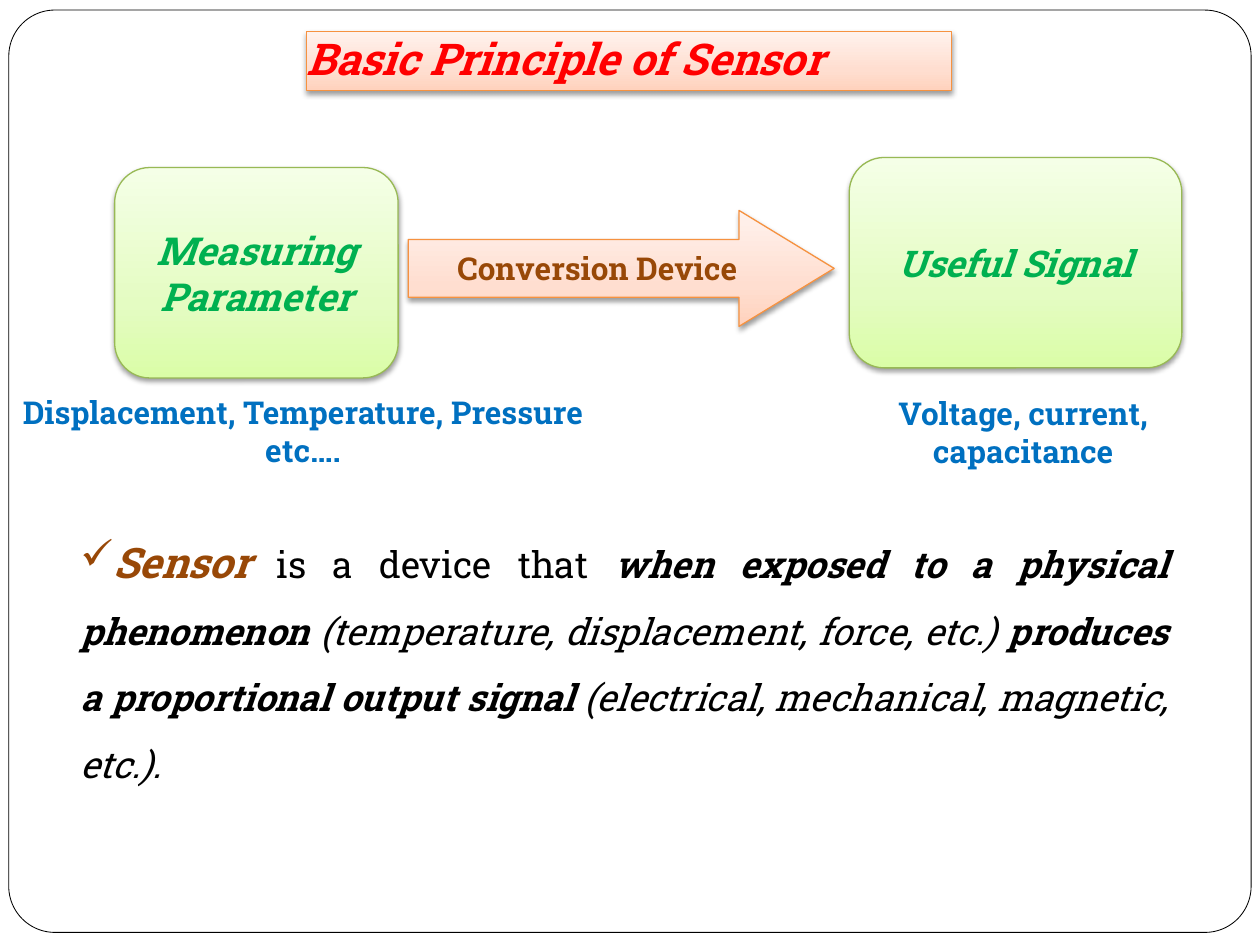
from copy import deepcopy

from lxml import etree
from pptx import Presentation
from pptx import util as u
from pptx.dml import color
from pptx.enum import shapes, text
from pptx.oxml import ns

COLUMNS, ROWS = 100, 75
CELL = u.Inches(0.1)
FONT = "Roboto Slab"
PEACH = ("FFD2BD", "FFDED0", "FFF2ED")
LIME = ("DAFDA7", "E4FCC2", "F5FFE7")
STOPS = (0, 0.35, 1)
CENTRE = text.PP_ALIGN.CENTER
MIDDLE = text.MSO_ANCHOR.MIDDLE
TITLE = {"size": 25, "color": "FF0000", "bold": True, "italic": True}
CARD = {"size": 22, "color": "00B050", "bold": True, "italic": True}
ARROW = {"size": 18, "color": "984807", "bold": True}
CAPTION = {"size": 18, "color": "0070C0", "bold": True}
TERM = {"size": 24, "color": "984807", "bold": True, "italic": True}
PLAIN = {"size": 21, "color": "000000"}
ASIDE = {**PLAIN, "italic": True}
STRONG = {**ASIDE, "bold": True}


def paint(target, value):
    target.rgb = color.RGBColor.from_string(value)


def place(area):
    return [round(cells * CELL) for cells in area]


def add_child(parent, name, **attributes):
    return etree.SubElement(parent, ns.qn(name), attributes)


def add_span(para, words, style):
    span = para.add_run()
    span.text = words
    values = {"name": FONT, "bold": False, "italic": False, **style}
    values["size"] = u.Pt(style["size"])
    paint(span.font.color, values.pop("color"))
    for key, value in values.items():
        setattr(span.font, key, value)


def write(box, paragraphs, layout, frame_values):
    frame = box.text_frame
    for key, value in frame_values.items():
        setattr(frame, key, value)
    for index, spans in enumerate(paragraphs):
        para = frame.add_paragraph() if index else frame.paragraphs[0]
        for key, value in layout.items():
            setattr(para, key, value)
        for words, style in spans:
            add_span(para, words, style)


def add_outline(page, kind, area, line, width):
    box = page.shapes.add_shape(kind, *place(area))
    box.shadow.inherit = False
    box.fill.background()
    paint(box.line.color, line)
    box.line.width = u.Pt(width)
    return box


def add_gradient(box, shades):
    box.fill.gradient()
    box.fill.gradient_angle = 90
    first = box.fill.gradient_stops[0]._gs
    first.addnext(deepcopy(first))
    for stop, position, shade in zip(box.fill.gradient_stops, STOPS, shades):
        stop.position = position
        paint(stop.color, shade)


def add_shadow(box):
    effects = box._element.spPr.find(ns.qn("a:effectLst"))
    shadow = add_child(effects, "a:outerShdw", blurRad=str(u.Pt(3.1)),
                       dist=str(u.Pt(1.6)), dir="5400000", rotWithShape="0")
    shade = add_child(shadow, "a:srgbClr", val="000000")
    add_child(shade, "a:alpha", val="38000")


def add_panel(page, kind, area, shades, line, paragraphs, layout, frame_values):
    box = add_outline(page, kind, area, line, 0.75)
    add_gradient(box, shades)
    add_shadow(box)
    write(box, paragraphs, layout, frame_values)
    return box


def add_words(page, area, spans, layout):
    box = page.shapes.add_textbox(*place(area))
    write(box, [spans], layout, {"word_wrap": True})
    return box


def add_bullet(box, mark):
    properties = box.text_frame.paragraphs[0]._p.get_or_add_pPr()
    properties.set("marL", "0")
    properties.set("indent", "0")
    add_child(properties, "a:buChar", char=mark)


def main():
    deck = Presentation()
    deck.slide_width, deck.slide_height = COLUMNS * CELL, ROWS * CELL
    page = deck.slides.add_slide(deck.slide_layouts[6])
    kinds = shapes.MSO_SHAPE
    frame = add_outline(page, kinds.ROUNDED_RECTANGLE, (0.7, 0.8, 98.6, 73.2), "000000", 0.48)
    frame.adjustments[0] = 0.05

    edges = ("margin_left", "margin_top", "margin_right", "margin_bottom")
    add_panel(page, kinds.RECTANGLE, (24.3, 2.5, 51.2, 4.7), PEACH, "F69240",
              [[("Basic Principle of Sensor", TITLE)]], {"alignment": text.PP_ALIGN.LEFT},
              {**dict.fromkeys(edges, 0), "vertical_anchor": text.MSO_ANCHOR.TOP,
               "word_wrap": True})

    centred = {"alignment": CENTRE}
    unwrapped = {"vertical_anchor": MIDDLE, "word_wrap": False}
    cards = (
        ((9.1, 13.3, 22.5, 16.7), ("Measuring", "Parameter"), 22),
        ((67.4, 12.5, 26.4, 16.7), ("Useful Signal",), 21),
    )
    for area, lines, size in cards:
        paragraphs = [[(line, {**CARD, "size": size})] for line in lines]
        add_panel(page, kinds.ROUNDED_RECTANGLE, area, LIME, "98B955",
                  paragraphs, centred, unwrapped)
    arrow = add_panel(page, kinds.RIGHT_ARROW, (32.4, 16.7, 33.8, 9.2), PEACH, "F69240",
                      [[("Conversion Device", ARROW)]], centred, unwrapped)
    arrow.adjustments[1] = 0.82

    captions = (
        ((66.6, 30.8, 29.2, 11.6), "Voltage, current, capacitance"),
        ((0, 30.7, 48.1, 11.6), "Displacement, Temperature, Pressure etc…."),
    )
    for area, words in captions:
        add_words(page, area, [(words, CAPTION)], centred)

    definition = [
        ("Sensor", TERM),
        (" is a device that ", PLAIN),
        ("when exposed to a physical phenomenon ", STRONG),
        ("(temperature, displacement, force, etc.) ", ASIDE),
        ("produces a proportional output signal ", STRONG),
        ("(electrical, mechanical, magnetic, etc.).", ASIDE),
    ]
    body = add_words(page, (5.4, 40.1, 88.3, 22.7), definition,
                     {"alignment": text.PP_ALIGN.JUSTIFY, "line_spacing": 1.5})
    add_bullet(body, "✓")
    deck.save("out.pptx")


if __name__ == "__main__":
    main()
